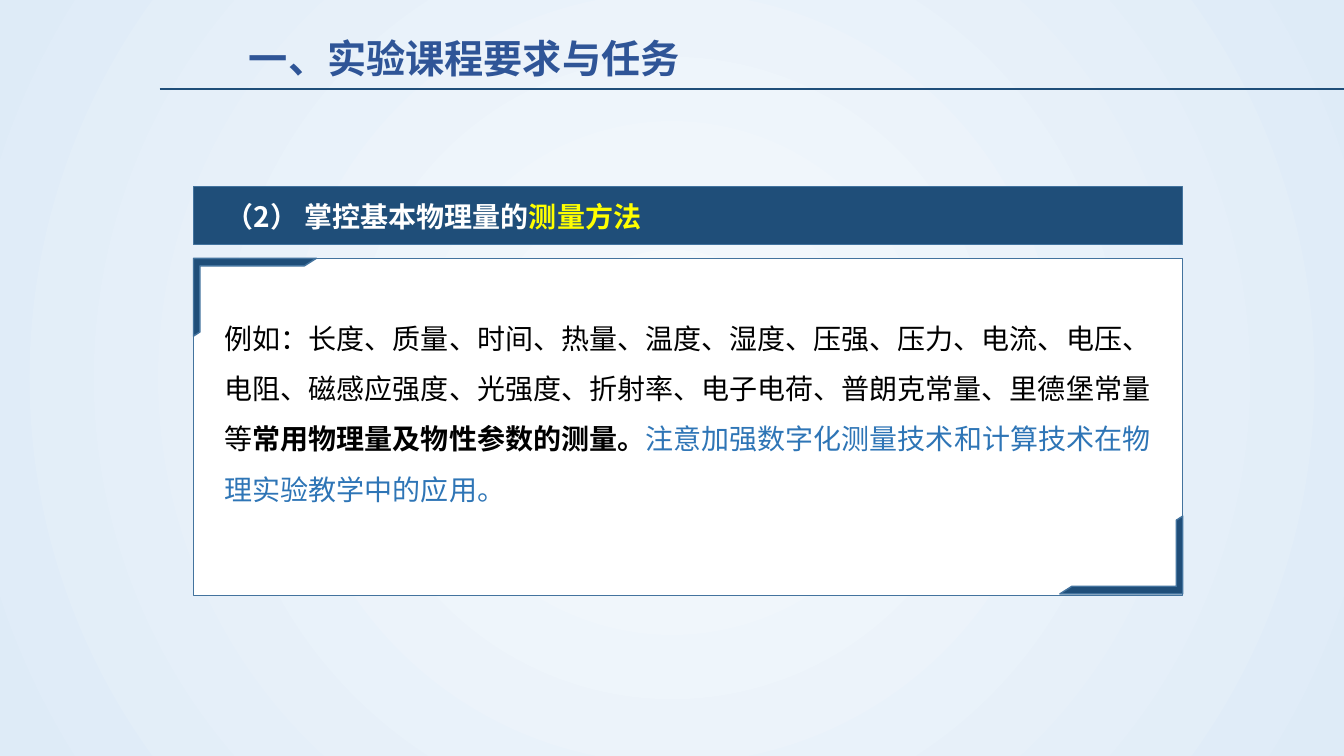
from lxml import etree
from pptx import Presentation
from pptx.dml.color import RGBColor
from pptx.enum.shapes import MSO_CONNECTOR, MSO_SHAPE
from pptx.enum.text import MSO_ANCHOR, MSO_AUTO_SIZE, PP_ALIGN
from pptx.oxml.ns import qn
from pptx.util import Pt

RECT, HALF_FRAME = MSO_SHAPE.RECTANGLE, MSO_SHAPE.HALF_FRAME
STRAIGHT = MSO_CONNECTOR.STRAIGHT
TOP, LEFT, NO_FIT = MSO_ANCHOR.TOP, PP_ALIGN.LEFT, MSO_AUTO_SIZE.NONE
FONT = "Noto Sans CJK SC"
NAVY, EDGE, WHITE = "1F4E79", "43739E", "FFFFFF"
rgb = RGBColor.from_string


def write(sp, runs, size, spacing=1.0):
    """Fill sp with one paragraph of (text, colour, bold) runs."""
    tf = sp.text_frame
    tf.word_wrap, tf.auto_size, tf.vertical_anchor = True, NO_FIT, TOP
    p = tf.paragraphs[0]
    p.alignment, p.line_spacing = LEFT, spacing
    for text, color, bold in runs:
        r = p.add_run()
        r.text = text
        r.font.size, r.font.bold, r.font.name = Pt(size), bold, FONT
        r.font.color.rgb = rgb(color)
        etree.SubElement(r.font._element, qn("a:ea"), typeface=FONT)


def add_panel(kind, left, top, width, height, fill):
    sp = s.shapes.add_shape(kind, Pt(left), Pt(top), Pt(width), Pt(height))
    sp.shadow.inherit = False
    sp.fill.solid()
    sp.fill.fore_color.rgb = rgb(fill)
    sp.line.color.rgb = rgb(EDGE)
    sp.line.width = Pt(1)
    return sp


prs = Presentation()
prs.slide_width, prs.slide_height = Pt(960), Pt(540)
s = prs.slides.add_slide(prs.slide_layouts[5])

# Radial background
fill = s.background.fill
fill.gradient()
for stop, color, position in zip(fill.gradient_stops, ("F7FAFD", "DEEBF7"), (0, 1)):
    stop.color.rgb = rgb(color)
    stop.position = position
grad = s.element.find(".//" + qn("a:gradFill"))
grad.remove(grad.find(qn("a:lin")))
radial = etree.SubElement(grad, qn("a:path"), path="circle")
etree.SubElement(radial, qn("a:fillToRect"), l="50000", t="50000", r="50000", b="50000")

# Title and rule
rule = s.shapes.add_connector(STRAIGHT, Pt(114), Pt(63.4), Pt(960), Pt(63.4))
rule.line.color.rgb = rgb(NAVY)
rule.line.width = Pt(1.25)
etree.SubElement(rule._element.spPr, qn("a:effectLst"))

title = s.shapes.title
title.left, title.top, title.width, title.height = Pt(170.6), Pt(21), Pt(383), Pt(41)
write(title, [("一、实验课程要求与任务", "2F5597", True)], 28)

# Card with corner frames
add_panel(RECT, 138.2, 184.5, 706.4, 241, WHITE)
for left, top, angle in ((138.2, 184.5, 0), (757, 368.6, 180)):
    corner = add_panel(HALF_FRAME, left, top, 87.8, 55.6, NAVY)
    corner.adjustments[0], corner.adjustments[1] = 0.098, 0.083
    corner.rotation = angle

body = s.shapes.add_textbox(Pt(153.4), Pt(213.8), Pt(677.5), Pt(148.3))
write(body, [
    ("例如：长度、质量、时间、热量、温度、湿度、压强、压力、电流、电压、电阻、磁感应强度、"
     "光强度、折射率、电子电荷、普朗克常量、里德堡常量等", "000000", False),
    ("常用物理量及物性参数的测量。", "000000", True),
    ("注意加强数字化测量技术和计算技术在物理实验教学中的应用。", "2E75B6", False),
], 20, spacing=1.5)

# Heading bar
add_panel(RECT, 138.2, 133, 706.4, 41.8, NAVY)
heading = s.shapes.add_textbox(Pt(154), Pt(139), Pt(670.3), Pt(31.5))
write(heading, [("（2） 掌控基本物理量的", WHITE, True), ("测量方法", "FFFF00", True)], 20)

prs.save("out.pptx")
